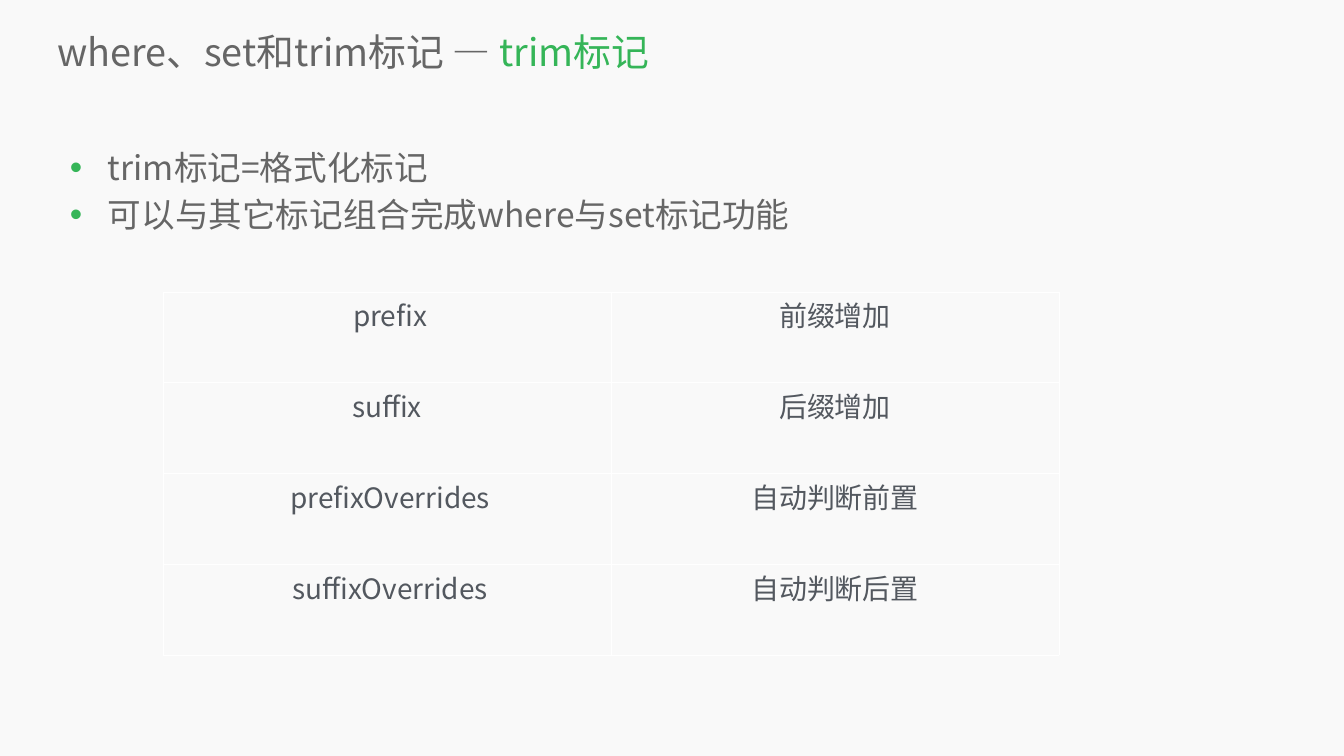
from lxml import etree
from pptx import Presentation
from pptx import util as u
from pptx.dml.color import RGBColor
from pptx.enum import text
from pptx.oxml import ns

PX = 914400 / 50.4
FONT = "Noto Sans CJK SC"
PAPER = RGBColor(0xF9, 0xF9, 0xF9)
GRAY = RGBColor(0x66, 0x66, 0x66)
GREEN = RGBColor(0x35, 0xB5, 0x58)
SLATE = RGBColor(0x53, 0x58, 0x5F)


def style(span, size, color):
    span.font.size = u.Pt(size)
    span.font.name = FONT
    span.font.color.rgb = color
    etree.SubElement(span._r.get_or_add_rPr(), ns.qn("a:ea"), typeface=FONT)


def add_box(left, top, width, height, anchor):
    box = page.shapes.add_textbox(*[round(n * PX) for n in (left, top, width, height)])
    frame = box.text_frame
    frame.word_wrap = True
    frame.vertical_anchor = anchor
    frame.margin_left = frame.margin_right = frame.margin_top = frame.margin_bottom = 0
    return frame


deck = Presentation()
deck.slide_width, deck.slide_height = round(1344 * PX), round(756 * PX)
page = deck.slides.add_slide(deck.slide_layouts[6])
page.background.fill.solid()
page.background.fill.fore_color.rgb = PAPER

# Title
para = add_box(57, 31, 1268, 43, text.MSO_ANCHOR.BOTTOM).paragraphs[0]
for words, color in (("where、set和trim标记 — ", GRAY), ("trim标记", GREEN)):
    span = para.add_run()
    span.text = words
    style(span, 54, color)

# Bullet list
frame = add_box(60, 140, 1224, 558, text.MSO_ANCHOR.TOP)
frame.text = "trim标记=格式化标记\n可以与其它标记组合完成where与set标记功能"
for para in frame.paragraphs:
    para.line_spacing = 1.17
    style(para.runs[0], 48, GRAY)
    props = para._p.get_or_add_pPr()
    props.set("marL", str(round(48 * PX)))
    props.set("indent", str(round(-38 * PX)))
    bullet_color = etree.SubElement(props, ns.qn("a:buClr"))
    etree.SubElement(bullet_color, ns.qn("a:srgbClr"), val=str(GREEN))
    etree.SubElement(props, ns.qn("a:buSzPct"), val="105000")
    etree.SubElement(props, ns.qn("a:buFont"), typeface="Arial")
    etree.SubElement(props, ns.qn("a:buChar"), char="•")

# Attribute table
ROWS = [
    (" prefix", "前缀增加"),
    ("suffix", "后缀增加"),
    (" prefixOverrides", "自动判断前置"),
    (" suffixOverrides", "自动判断后置"),
]
place = [round(n * PX) for n in (163, 292, 896, 363)]
table = page.shapes.add_table(len(ROWS), 2, *place).table
table.first_row = table.horz_banding = False
for r, row in enumerate(ROWS):
    for c, words in enumerate(row):
        cell = table.cell(r, c)
        cell.text_frame.text = words
        para = cell.text_frame.paragraphs[0]
        para.alignment = text.PP_ALIGN.CENTER
        style(para.runs[0], 40, SLATE)
        # White cell borders come before the fill
        props = cell._tc.get_or_add_tcPr()
        for side in ("lnL", "lnR", "lnT", "lnB"):
            line = etree.SubElement(props, ns.qn("a:" + side), w=str(u.Pt(1)))
            fill = etree.SubElement(line, ns.qn("a:solidFill"))
            etree.SubElement(fill, ns.qn("a:srgbClr"), val="FFFFFF")
        etree.SubElement(props, ns.qn("a:noFill"))

deck.save("out.pptx")
